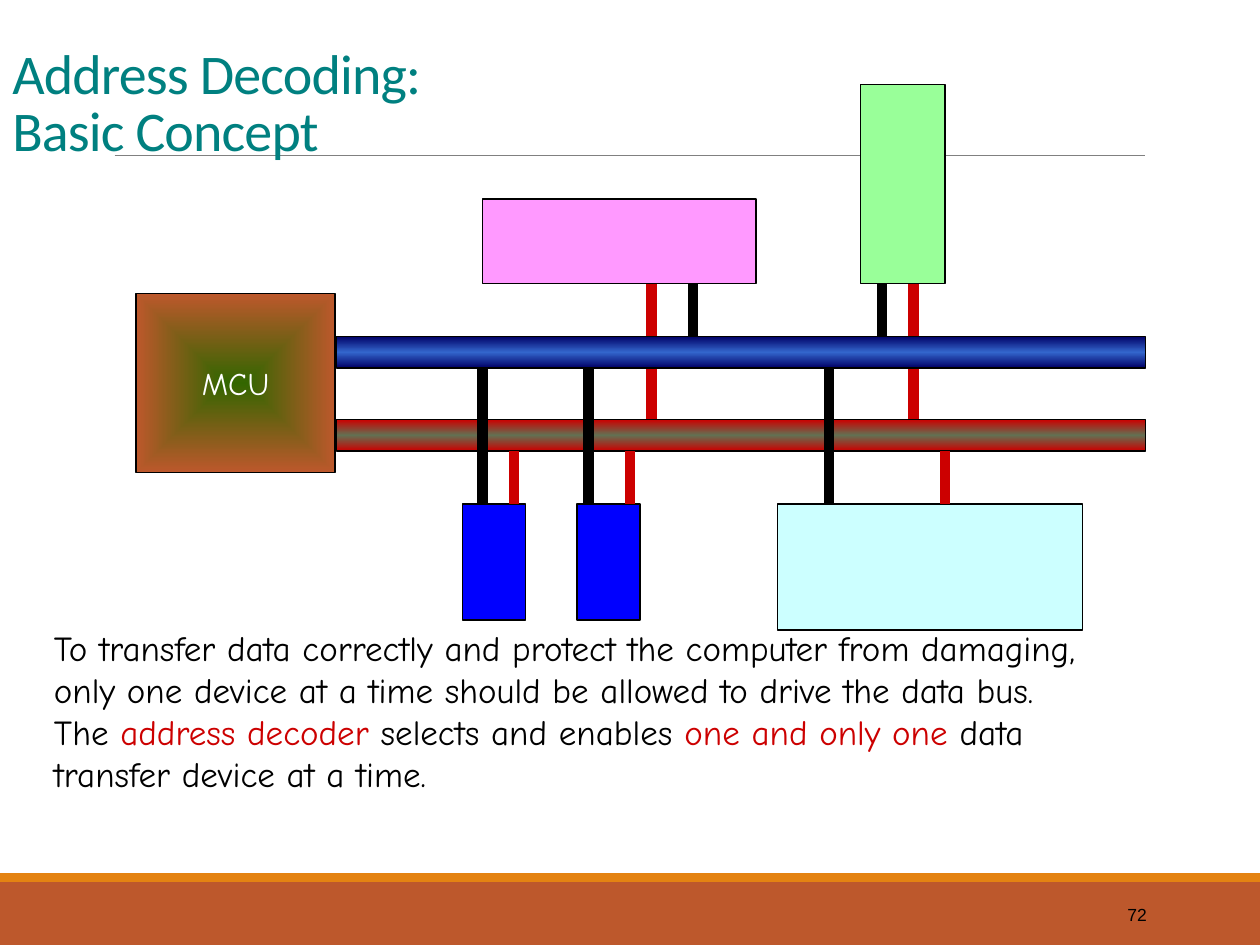
from lxml import etree
from pptx import Presentation
from pptx.dml.color import RGBColor
from pptx.enum.shapes import MSO_CONNECTOR, MSO_SHAPE
from pptx.enum.text import MSO_ANCHOR, PP_ALIGN
from pptx.oxml import parse_xml
from pptx.oxml.ns import nsdecls, qn
from pptx.util import Inches, Pt

RECTANGLE = MSO_SHAPE.RECTANGLE
STRAIGHT = MSO_CONNECTOR.STRAIGHT
TOP, MIDDLE, BOTTOM = MSO_ANCHOR.TOP, MSO_ANCHOR.MIDDLE, MSO_ANCHOR.BOTTOM
LEFT, CENTER, RIGHT = PP_ALIGN.LEFT, PP_ALIGN.CENTER, PP_ALIGN.RIGHT

BLACK = RGBColor(0x00, 0x00, 0x00)
WHITE = RGBColor(0xFF, 0xFF, 0xFF)
RED = RGBColor(0xCC, 0x00, 0x00)
TEAL = RGBColor(0x00, 0x80, 0x80)
GRAY = RGBColor(0x80, 0x80, 0x80)
RUST = RGBColor(0xBD, 0x58, 0x2C)
ORANGE = RGBColor(0xE4, 0x83, 0x12)
DARK_GREEN = RGBColor(0x33, 0x66, 0x00)
LIGHT_GREEN = RGBColor(0x99, 0xFF, 0x99)
CYAN = RGBColor(0xCC, 0xFF, 0xFF)
BLUE = RGBColor(0x00, 0x00, 0xFF)
PINK = RGBColor(0xFF, 0x99, 0xFF)
NAVY = RGBColor(0x00, 0x00, 0x66)
MID_BLUE = RGBColor(0x33, 0x66, 0xCC)
OLIVE = RGBColor(0x63, 0x70, 0x52)

LINEAR = '<a:lin ang="5400000" scaled="0"/>'
FROM_CENTER = ('<a:path path="rect"><a:fillToRect l="50000" t="50000" '
               'r="50000" b="50000"/></a:path>')

deck = Presentation()
deck.slide_width, deck.slide_height = Inches(10), Inches(7.5)
page = deck.slides.add_slide(deck.slide_layouts[6])

# Footer bands
for top, height, color in [(7, 0.5, RUST), (6.93, 0.07, ORANGE)]:
    band = page.shapes.add_shape(RECTANGLE, 0, Inches(top), Inches(10), Inches(height))
    band.shadow.inherit = False
    band.fill.solid()
    band.fill.fore_color.rgb = color
    band.line.fill.background()


def add_line(x, top, end_x, bottom, color, width):
    line = page.shapes.add_connector(
        STRAIGHT, Inches(x), Inches(top), Inches(end_x), Inches(bottom))
    line.line.color.rgb = color
    line.line.width = Pt(width)
    etree.SubElement(line._element.spPr, qn("a:effectLst"))


def write_text(box, lines, anchor, align, spacing, **font_values):
    """Fill a box with lines, each a list of (text, color) spans."""
    box.text_frame.word_wrap = True
    box.text_frame.vertical_anchor = anchor
    para = box.text_frame.paragraphs[0]
    para.alignment = align
    para.line_spacing = spacing
    for number, spans in enumerate(lines):
        if number:
            para.add_line_break()
        for text, color in spans:
            span = para.add_run()
            span.text = text
            span.font.color.rgb = color
            for name, value in font_values.items():
                setattr(span.font, name, value)
    for properties in para._p.iter(qn("a:rPr")):
        if anchor == BOTTOM:
            properties.set("spc", "-50")


# Rule under the title, and the address wires that pass behind the data bus
add_line(0.91, 1.23, 9.09, 1.23, GRAY, 0.5)
for x in (7.25, 5.17):
    add_line(x, 2.25, x, 3.33, RED, 6)

# Processor, devices and buses: a list of colors is a gradient
blocks = [
    (1.08, 2.33, 1.58, 1.42, [DARK_GREEN, RUST], FROM_CENTER, "MCU"),
    (6.83, 0.67, 0.67, 1.58, LIGHT_GREEN, None, None),
    (6.17, 4, 2.42, 1, CYAN, None, None),
    (3.67, 4, 0.5, 0.92, BLUE, None, None),
    (3.83, 1.58, 2.17, 0.67, PINK, None, None),
    (2.67, 2.67, 6.42, 0.25, [NAVY, MID_BLUE, NAVY], LINEAR, None),
    (2.67, 3.33, 6.42, 0.25, [RED, OLIVE, RED], LINEAR, None),
    (4.58, 4, 0.5, 0.92, BLUE, None, None),
]
for left, top, width, height, color, direction, label in blocks:
    block = page.shapes.add_shape(
        RECTANGLE, Inches(left), Inches(top), Inches(width), Inches(height))
    block.shadow.inherit = False
    block.line.color.rgb = BLACK
    block.line.width = Pt(0.75)
    block.fill.solid()
    if direction:
        stops = "".join(
            f'<a:gs pos="{100000 * step // (len(color) - 1)}">'
            f'<a:srgbClr val="{shade}"/></a:gs>'
            for step, shade in enumerate(color))
        gradient = parse_xml(
            f'<a:gradFill {nsdecls("a")} rotWithShape="1">'
            f'<a:gsLst>{stops}</a:gsLst>{direction}</a:gradFill>')
        properties = block._element.spPr
        properties.replace(properties.find(qn("a:solidFill")), gradient)
    else:
        block.fill.fore_color.rgb = color
    if label:
        write_text(block, [[(label, WHITE)]], MIDDLE, CENTER, 1.0,
                   size=Pt(18), name="Comic Neue")

# Wires in front: data wires black, address wires red
wires = [
    (2.92, 4, BLACK, (3.83, 4.67, 6.58)),
    (2.25, 2.67, BLACK, (5.5, 7)),
    (3.58, 4, RED, (7.5, 4.08, 5)),
]
for top, bottom, color, positions in wires:
    for x in positions:
        add_line(x, top, x, bottom, color, 6)

# Title, explanation and page number
title = [[("Address Decoding:", TEAL)], [("Basic Concept", TEAL)]]
explanation = [
    [("To transfer data correctly and protect the computer from damaging,", BLACK)],
    [("only one device at a time should be allowed to drive the data bus.", BLACK)],
    [("The ", BLACK), ("address decoder", RED), (" selects and enables ", BLACK),
     ("one and only one", RED), (" data", BLACK)],
    [("transfer device at a time.", BLACK)],
]
texts = [
    (0, 0.17, 6.83, 1.17, title, BOTTOM, LEFT, 0.85, 32, "Calibri"),
    (0.33, 4.92, 9.25, 1.43, explanation, TOP, LEFT, 1.0, 20, "Comic Neue"),
    (8.12, 7.06, 1.08, 0.4, [[("72", BLACK)]], MIDDLE, RIGHT, 1.0, 10, "Arial"),
]
for left, top, width, height, lines, anchor, align, spacing, size, font in texts:
    box = page.shapes.add_textbox(
        Inches(left), Inches(top), Inches(width), Inches(height))
    write_text(box, lines, anchor, align, spacing, size=Pt(size), name=font)

deck.save("out.pptx")
